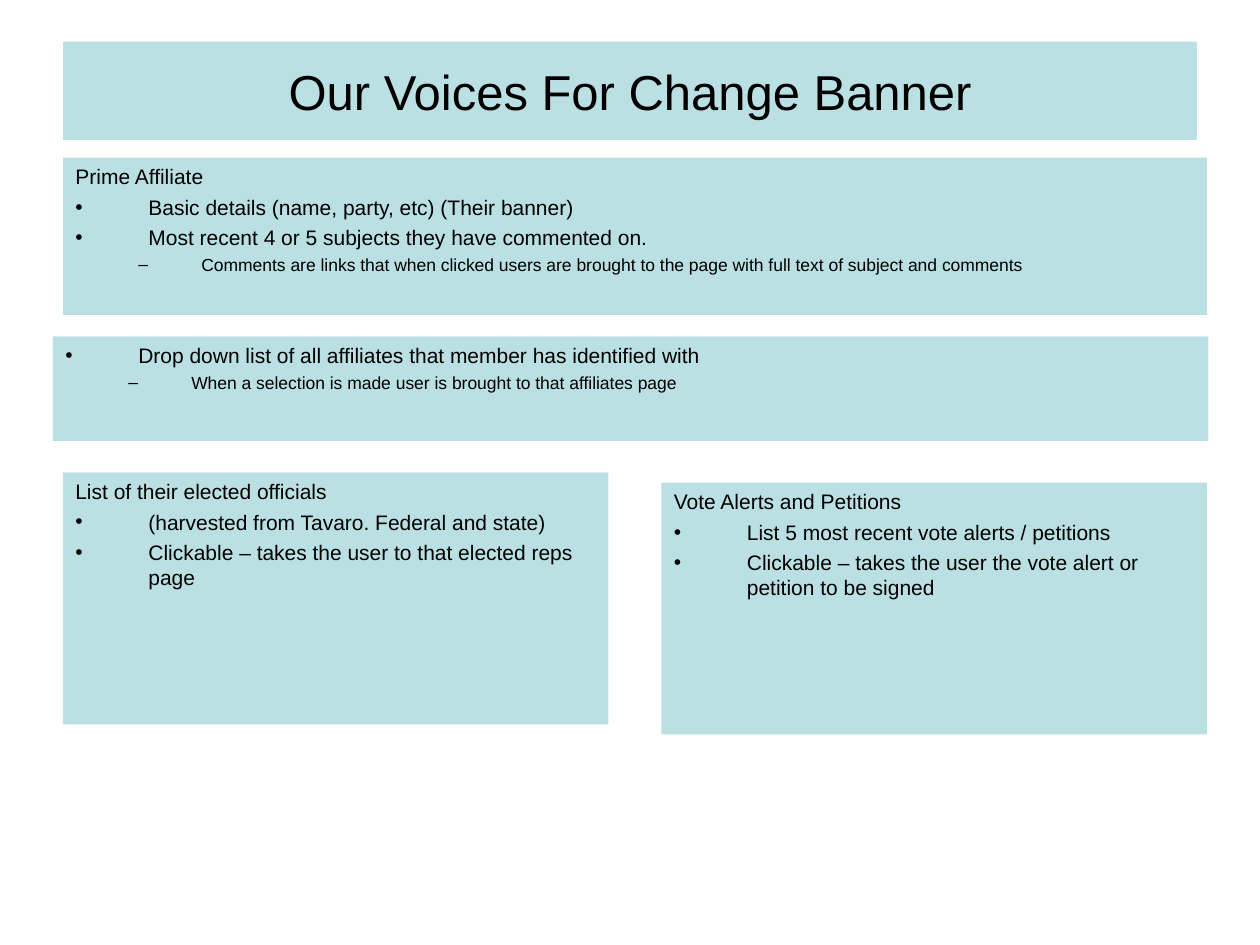
from dataclasses import dataclass

from lxml import etree
from pptx import Presentation
from pptx.dml.color import RGBColor
from pptx.enum.shapes import MSO_SHAPE
from pptx.enum.text import MSO_ANCHOR, MSO_AUTO_SIZE, PP_ALIGN
from pptx.oxml.ns import qn
from pptx.util import Inches, Pt

RECTANGLE = MSO_SHAPE.RECTANGLE
TOP, MIDDLE = MSO_ANCHOR.TOP, MSO_ANCHOR.MIDDLE
LEFT, CENTER = PP_ALIGN.LEFT, PP_ALIGN.CENTER
NO_AUTOFIT = MSO_AUTO_SIZE.NONE


@dataclass(frozen=True)
class Theme:
    font: str = "Arial"
    panel: RGBColor = RGBColor(0xBA, 0xE0, 0xE3)
    ink: RGBColor = RGBColor(0, 0, 0)
    title_size: int = 28
    body_size: int = 12
    detail_size: int = 10


theme = Theme()

# Paragraph kinds: bullet, level, left margin, hanging indent, size, space before
STYLES = {
    "heading": (None, 0, 0.58, 0.58, theme.body_size, 3),
    "item": ("•", 0, 0.58, 0.58, theme.body_size, 3),
    "detail": ("–", 1, 1, 0.5, theme.detail_size, 2.5),
}

# Panels: left, top, width, height, paragraphs
PANELS = [
    (0.5, 1.25, 9.08, 1.25, [
        ("heading", "Prime Affiliate"),
        ("item", "Basic details (name, party, etc) (Their banner)"),
        ("item", "Most recent 4 or 5 subjects they have commented on."),
        ("detail", "Comments are links that when clicked users are brought "
                   "to the page with full text of subject and comments"),
    ]),
    (0.42, 2.67, 9.17, 0.83, [
        ("item", "Drop down list of all affiliates that member has identified with"),
        ("detail", "When a selection is made user is brought to that affiliates page"),
    ]),
    (5.25, 3.83, 4.33, 2, [
        ("heading", "Vote Alerts and Petitions"),
        ("item", "List 5 most recent vote alerts / petitions"),
        ("item", "Clickable – takes the user the vote alert or petition to be signed"),
    ]),
    (0.5, 3.75, 4.33, 2, [
        ("heading", "List of their elected officials"),
        ("item", "(harvested from Tavaro. Federal and state)"),
        ("item", "Clickable – takes the user to that elected reps page"),
    ]),
]


def format_box(box, anchor):
    """Fill a box and set up its text area."""
    box.fill.solid()
    box.fill.fore_color.rgb = theme.panel
    box.line.fill.background()
    frame = box.text_frame
    frame.word_wrap = True
    frame.auto_size = NO_AUTOFIT
    frame.vertical_anchor = anchor
    frame.margin_left = frame.margin_right = Inches(0.1)
    frame.margin_top = frame.margin_bottom = Inches(0.05)


def format_text(para, size, alignment):
    """Align a paragraph and set the font of its runs."""
    para.alignment = alignment
    for span in para.runs:
        span.font.name = theme.font
        span.font.size = Pt(size)
        span.font.color.rgb = theme.ink


deck = Presentation()
deck.slide_width, deck.slide_height = Inches(10), Inches(7.5)
page = deck.slides.add_slide(deck.slide_layouts[5])

# Title banner
title = page.shapes.title
title.left, title.top = Inches(0.5), Inches(0.33)
title.width, title.height = Inches(9), Inches(0.78)
title.text_frame.text = "Our Voices For Change Banner"
format_box(title, MIDDLE)
format_text(title.text_frame.paragraphs[0], theme.title_size, CENTER)

# Content panels
for left, top, width, height, entries in PANELS:
    box = page.shapes.add_shape(
        RECTANGLE, Inches(left), Inches(top), Inches(width), Inches(height))
    box.shadow.inherit = False
    format_box(box, TOP)
    frame = box.text_frame
    frame.text = "\n".join(text for kind, text in entries)

    for index, (para, (kind, text)) in enumerate(zip(frame.paragraphs, entries)):
        bullet, level, margin, hanging, size, space = STYLES[kind]
        properties = para._p.get_or_add_pPr()
        properties.set("marL", str(Inches(margin)))
        properties.set("indent", str(-Inches(hanging)))
        if bullet:
            etree.SubElement(properties, qn("a:buFont"), typeface=theme.font)
            etree.SubElement(properties, qn("a:buChar"), char=bullet)
        para.level = level
        para.space_before = Pt(space if index else 0)
        format_text(para, size, LEFT)

deck.save("out.pptx")
